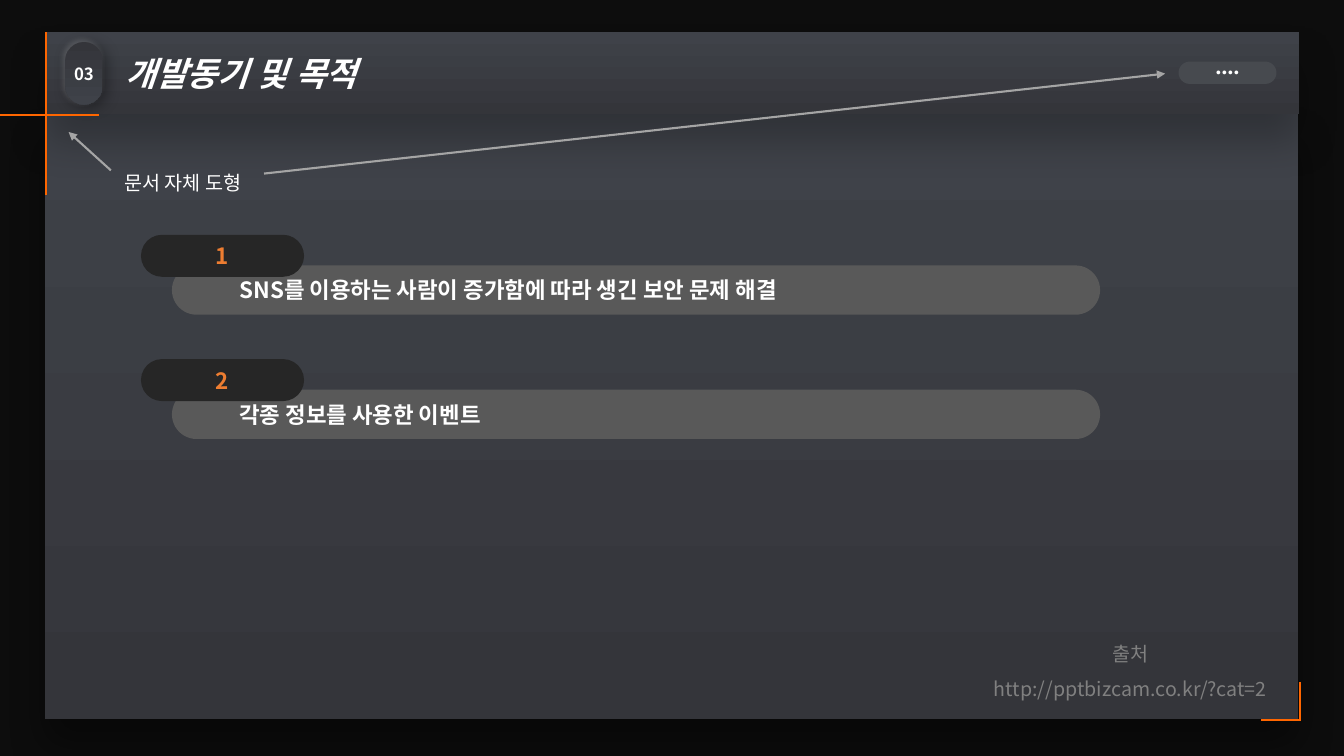
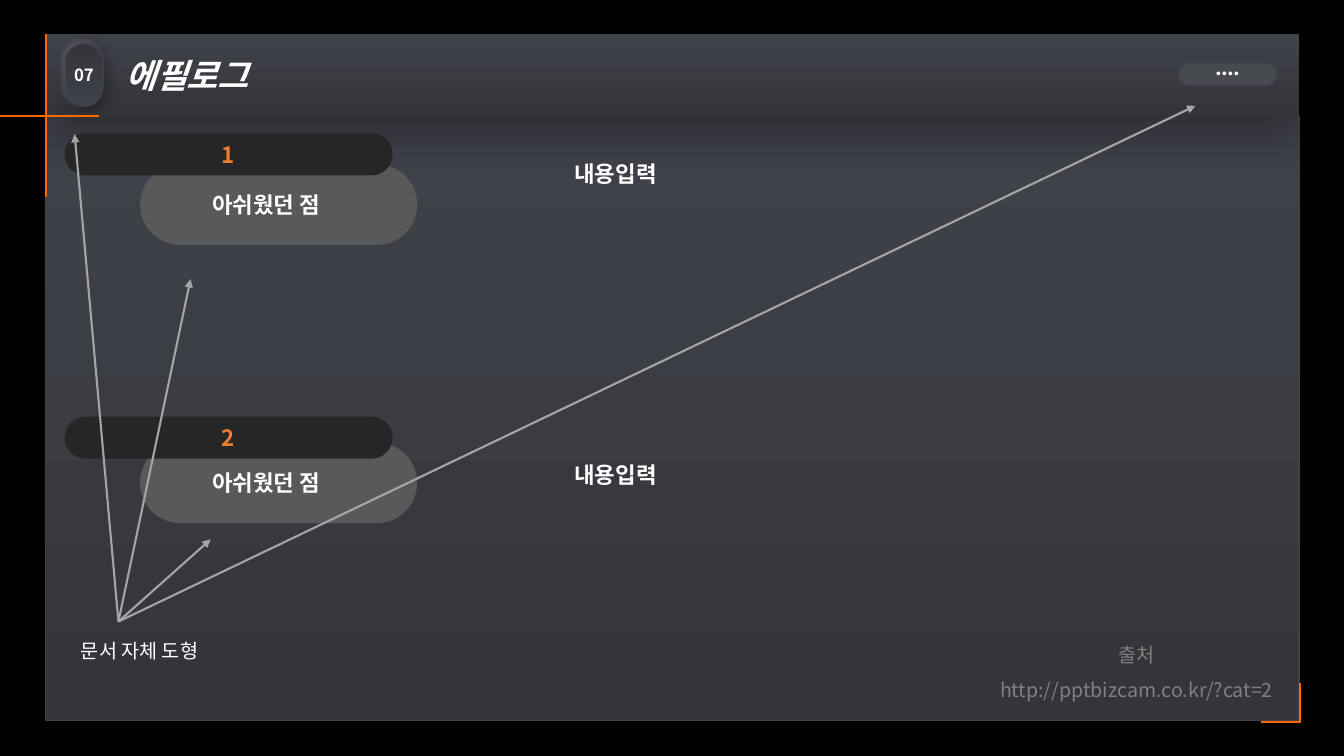
"""Builds two dark slides with a shared header, orange corner rules and numbered pills."""
import dataclasses

import lxml.etree
import pptx
import pptx.dml.color
import pptx.enum.shapes
import pptx.enum.text
import pptx.oxml.ns
import pptx.util

Pt = pptx.util.Pt
qn = pptx.oxml.ns.qn
MSO_SHAPE = pptx.enum.shapes.MSO_SHAPE
ALIGN = pptx.enum.text.PP_ALIGN
ANCHOR = pptx.enum.text.MSO_ANCHOR
AUTO_SIZE = pptx.enum.text.MSO_AUTO_SIZE


@dataclasses.dataclass(frozen=True)
class Theme:
    font: str = "Noto Sans CJK KR"
    light: str = "3F4249"
    dark: str = "34353A"
    menu: str = "474A4F"
    accent: str = "FF6600"
    number: str = "ED7D31"
    tag: str = "262626"
    pill: str = "595959"
    arrow: str = "A5A5A5"
    white: str = "FFFFFF"
    source: str = "808080"
    title_size: float = 24
    body_size: float = 16
    caption_size: float = 14
    badge_size: float = 12
    menu_size: float = 3
    rule_width: float = 1.5


THEME = Theme()


def rgb(value):
    return pptx.dml.color.RGBColor.from_string(value)


def write_text(shape, text, size=THEME.body_size, color=THEME.white, bold=False, italic=False,
               align=ALIGN.CENTER, spacing=1.0, indent=0):
    for index, line in enumerate(text.split("\n")):
        frame = shape.text_frame
        paragraph = frame.add_paragraph() if index else frame.paragraphs[0]
        paragraph.alignment = align
        paragraph.line_spacing = spacing
        paragraph.space_before = Pt(0)
        if indent:
            properties = paragraph._p.get_or_add_pPr()
            properties.set("marL", str(Pt(indent)))
            properties.set("indent", "0")
        run = paragraph.add_run()
        run.text = line
        font = run.font
        font.size, font.bold, font.italic = Pt(size), bold, italic
        font.color.rgb = rgb(color)
        font.name = THEME.font
        east_asian = lxml.etree.SubElement(run._r.get_or_add_rPr(), qn("a:ea"))
        east_asian.set("typeface", THEME.font)


class Deck:
    def __init__(self, theme):
        self.theme = theme
        self.presentation = pptx.Presentation()
        self.presentation.slide_width = Pt(960)
        self.presentation.slide_height = Pt(540)
        self.slide = None

    def style(self, shape, fill, outline=None, shadow=None):
        if isinstance(fill, tuple):
            shape.fill.gradient()
            shape.fill.gradient_angle = 270
            for stop, color in zip(shape.fill.gradient_stops, fill):
                stop.color.rgb = rgb(color)
        else:
            shape.fill.solid()
            shape.fill.fore_color.rgb = rgb(fill)
        if outline:
            shape.line.color.rgb = rgb(outline)
            shape.line.width = Pt(1)
        else:
            shape.line.fill.background()
        shape.shadow.inherit = False
        if shadow:
            self.cast_shadow(shape, *shadow)

    def cast_shadow(self, shape, color, opacity, blur, distance, angle):
        effects = shape.element.spPr.find(qn("a:effectLst"))
        outer = lxml.etree.SubElement(
            effects, qn("a:outerShdw"), blurRad=str(Pt(blur)), dist=str(Pt(distance)),
            dir=str(angle * 60000), algn="ctr", rotWithShape="0")
        shade = lxml.etree.SubElement(outer, qn("a:srgbClr"), val=color)
        lxml.etree.SubElement(shade, qn("a:alpha"), val=str(opacity * 1000))

    def box(self, left, top, width, height, fill, rounded=True, wrap=True, **look):
        kind = MSO_SHAPE.ROUNDED_RECTANGLE if rounded else MSO_SHAPE.RECTANGLE
        shape = self.slide.shapes.add_shape(kind, Pt(left), Pt(top), Pt(width), Pt(height))
        if rounded:
            shape.adjustments[0] = 0.5
        self.style(shape, fill, **look)
        shape.text_frame.word_wrap = wrap
        shape.text_frame.vertical_anchor = ANCHOR.MIDDLE
        return shape

    def line(self, start, end, color, arrow=False):
        connector = self.slide.shapes.add_connector(
            pptx.enum.shapes.MSO_CONNECTOR.STRAIGHT, *(Pt(value) for value in start + end))
        connector.line.color.rgb = rgb(color)
        connector.line.width = Pt(self.theme.rule_width)
        if arrow:
            lxml.etree.SubElement(connector.line._get_or_add_ln(), qn("a:tailEnd"), type="triangle")
        lxml.etree.SubElement(connector.element.spPr, qn("a:effectLst"))

    def arrow(self, start, end):
        self.line(start, end, self.theme.arrow, arrow=True)

    def label(self, center, top, width, height, text, **format):
        shape = self.slide.shapes.add_textbox(
            Pt(center - width / 2), Pt(top), Pt(width), Pt(height))
        shape.text_frame.word_wrap = True
        shape.text_frame.auto_size = AUTO_SIZE.SHAPE_TO_FIT_TEXT
        write_text(shape, text, spacing=1.5, **format)

    def title(self, text, top):
        shape = self.slide.shapes.title
        shape.element.getparent().append(shape.element)
        shape.left, shape.top, shape.width, shape.height = Pt(32.4), Pt(top), Pt(895.6), Pt(58.4)
        self.style(shape, (self.theme.light, self.theme.dark), shadow=("000000", 23, 28, 19, 90))
        frame = shape.text_frame
        frame.auto_size = AUTO_SIZE.NONE
        frame.word_wrap = True
        frame.vertical_anchor = ANCHOR.MIDDLE
        frame.margin_left, frame.margin_right = Pt(57), Pt(7.2)
        frame.margin_top = frame.margin_bottom = Pt(3.6)
        write_text(shape, text, size=self.theme.title_size, bold=True, italic=True,
                   align=ALIGN.LEFT)

    def start_slide(self, number, title, background, shift=0, outline=None):
        theme = self.theme
        self.slide = self.presentation.slides.add_slide(self.presentation.slide_layouts[5])
        self.slide.background.fill.solid()
        self.slide.background.fill.fore_color.rgb = rgb(background)
        self.box(31.8 + shift / 2, 81.5 + shift, 895.6, 432, (theme.light, theme.dark),
                 rounded=False, outline=outline, shadow=("000000", 40, 28, 19, 90))
        self.title(title, 23.2 + shift)
        for shadow in (("000000", 40, 11, 3, 45), ("FFFFFF", 15, 4, 2, 225)):
            badge = self.box(46.6, 30 + shift, 26.8, 44.8, (theme.dark, theme.light),
                             wrap=False, outline=outline, shadow=shadow)
        write_text(badge, number, size=theme.badge_size, bold=True)
        menu = self.box(841.8, 44 + shift, 70, 16, theme.menu, wrap=False, outline=outline)
        write_text(menu, "●  ●  ●  ●", size=theme.menu_size)
        for start, end in (((32.6, 23), (32.6, 139.5)), ((0, 82), (70.6, 82)),
                           ((900.8, 514.5), (929, 514.5)), ((928.6, 487), (928.6, 515.2))):
            self.line((start[0], start[1] + shift), (end[0], end[1] + shift), theme.accent)

    def source(self, center, top):
        self.label(center, top, 234, 55, "출처\nhttp://pptbizcam.co.kr/?cat=2",
                   size=self.theme.caption_size, color=self.theme.source)

    def caption(self, center, top):
        self.label(center, top, 160, 29.5, "문서 자체 도형", size=self.theme.caption_size)

    def pill(self, text, left, top, width, height):
        shape = self.box(left, top, width, height, self.theme.pill)
        write_text(shape, text, bold=True, align=ALIGN.LEFT, indent=36)

    def tag(self, number, left, top, width):
        shape = self.box(left, top, width, 29, self.theme.tag, outline=self.theme.tag)
        write_text(shape, str(number), color=self.theme.number, bold=True)


def build_purpose(deck):
    deck.start_slide("03", "개발동기 및 목적", "0D0D0D")
    deck.source(807.5, 446.4)
    deck.caption(130.7, 110.2)
    deck.arrow((79.2, 121.7), (49, 94.3))
    deck.arrow((188.6, 124), (832.3, 52.6))
    purposes = ("SNS를 이용하는 사람이 증가함에 따라 생긴 보안 문제 해결", "각종 정보를 사용한 이벤트")
    for index, purpose in enumerate(purposes):
        top = 168.2 + 88.8 * index
        deck.pill(purpose, 122.8, top + 21.4, 663, 35.2)
        deck.tag(index + 1, 101.2, top, 115.5)


def build_epilogue(deck):
    deck.start_slide("07", "에필로그", "000000", shift=1, outline=deck.theme.light)
    for number, pill_top, tag_top, content_top in ((1, 117.4, 95.8, 101.5), (2, 316.1, 298.1, 316.1)):
        deck.pill("아쉬웠던 점", 100, pill_top, 198, 57.6)
        deck.tag(number, 46.6, tag_top, 233.4)
        deck.label(439.7, content_top, 255.6, 32.4, "내용입력", bold=True)
    deck.source(811.8, 447.2)
    deck.caption(99.8, 444.2)
    hub = (84.6, 444)
    for target in ((136.1, 199.4), (150.5, 385.2), (53.3, 95.8), (853.9, 75.6)):
        deck.arrow(hub, target)


def main():
    deck = Deck(THEME)
    build_purpose(deck)
    build_epilogue(deck)
    deck.presentation.save("out.pptx")


if __name__ == "__main__":
    main()
